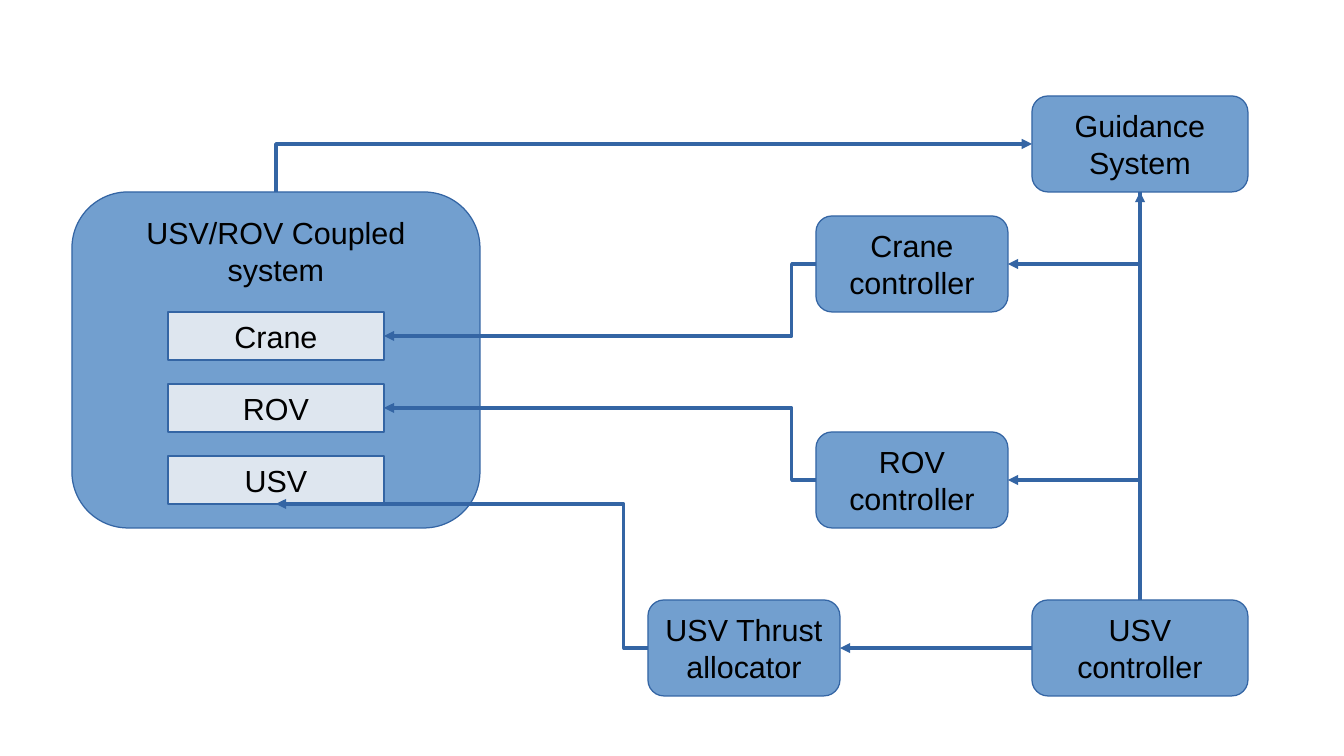
from pptx import Presentation
from pptx.dml.color import RGBColor
from pptx.enum.shapes import MSO_CONNECTOR as Wire, MSO_SHAPE as Shape
from pptx.enum.text import MSO_ANCHOR as Anchor, PP_ALIGN as Align
from pptx.oxml.ns import qn
from pptx.util import Cm, Pt
from lxml.etree import SubElement

BLUE = RGBColor(0x72, 0x9F, 0xCF)
PALE = RGBColor(0xDE, 0xE6, 0xEF)
OUTLINE = RGBColor(0x34, 0x65, 0xA4)
BLACK = RGBColor(0, 0, 0)
TOP, LEFT, BOTTOM, RIGHT = range(4)


class Diagram:
    """Draws boxes and arrows on a page whose grid cells are one centimetre."""

    def __init__(self, columns, rows):
        self.deck = Presentation()
        self.deck.slide_width, self.deck.slide_height = Cm(columns), Cm(rows)
        self.page = self.deck.slides.add_slide(self.deck.slide_layouts[6])

    def box(self, text, column, row, columns, rows,
            kind=Shape.ROUNDED_RECTANGLE, fill=BLUE, anchor=Anchor.MIDDLE):
        box = self.page.shapes.add_shape(kind, Cm(column), Cm(row), Cm(columns), Cm(rows))
        box.shadow.inherit = False
        box.fill.solid()
        box.fill.fore_color.rgb = fill
        self.outline(box)
        box.text_frame.word_wrap = True
        box.text_frame.vertical_anchor = anchor
        para = box.text_frame.paragraphs[0]
        para.text = text
        para.alignment = Align.CENTER
        para.font.name, para.font.size = "Arial", Pt(18)
        para.font.color.rgb = BLACK
        return box

    def outline(self, item):
        item.line.color.rgb = OUTLINE
        item.line.width = Pt(0)

    def port(self, box, side):
        across = {LEFT: 0, RIGHT: box.width}.get(side, box.width // 2)
        down = {TOP: 0, BOTTOM: box.height}.get(side, box.height // 2)
        return box.left + across, box.top + down

    def arrow(self, source, exit_side, target, entry_side, bend=None, glue_end=True):
        kind = Wire.STRAIGHT if bend is None else Wire.ELBOW
        wire = self.page.shapes.add_connector(
            kind, *self.port(source, exit_side), *self.port(target, entry_side))
        wire.begin_connect(source, exit_side)
        if glue_end:
            wire.end_connect(target, entry_side)
        self.outline(wire)
        SubElement(wire.line._get_or_add_ln(), qn("a:tailEnd"), type="triangle")
        properties = wire._element.spPr
        SubElement(properties, qn("a:effectLst"))
        if bend is not None:
            guides = properties.find(qn("a:prstGeom")).get_or_add_avLst()
            share = round(100000 * Cm(bend) / wire.width)
            SubElement(guides, qn("a:gd"), name="adj1", fmla=f"val {share}")


def main():
    diagram = Diagram(28, 15.75)
    coupled = diagram.box("USV/ROV Coupled system", 1.5, 4, 8.5, 7, anchor=Anchor.TOP)
    crane, rov, usv = [
        diagram.box(name, 3.5, 6.5 + 1.5 * index, 4.5, 1, Shape.RECTANGLE, PALE)
        for index, name in enumerate(("Crane", "ROV", "USV"))]
    guidance = diagram.box("Guidance System", 21.5, 2, 4.5, 2)
    crane_controller = diagram.box("Crane controller", 17, 4.5, 4, 2)
    rov_controller = diagram.box("ROV controller", 17, 9, 4, 2)
    allocator = diagram.box("USV Thrust allocator", 13.5, 12.5, 4, 2)
    usv_controller = diagram.box("USV controller", 21.5, 12.5, 4.5, 2)

    diagram.arrow(coupled, TOP, guidance, LEFT, bend=0)
    for controller, part in ((crane_controller, crane), (rov_controller, rov)):
        diagram.arrow(guidance, BOTTOM, controller, RIGHT, bend=0)
        diagram.arrow(controller, LEFT, part, RIGHT, bend=0.5)
    diagram.arrow(usv_controller, TOP, guidance, BOTTOM)
    diagram.arrow(usv_controller, LEFT, allocator, RIGHT)
    diagram.arrow(allocator, LEFT, usv, BOTTOM, bend=0.5, glue_end=False)
    diagram.deck.save("out.pptx")


if __name__ == "__main__":
    main()
